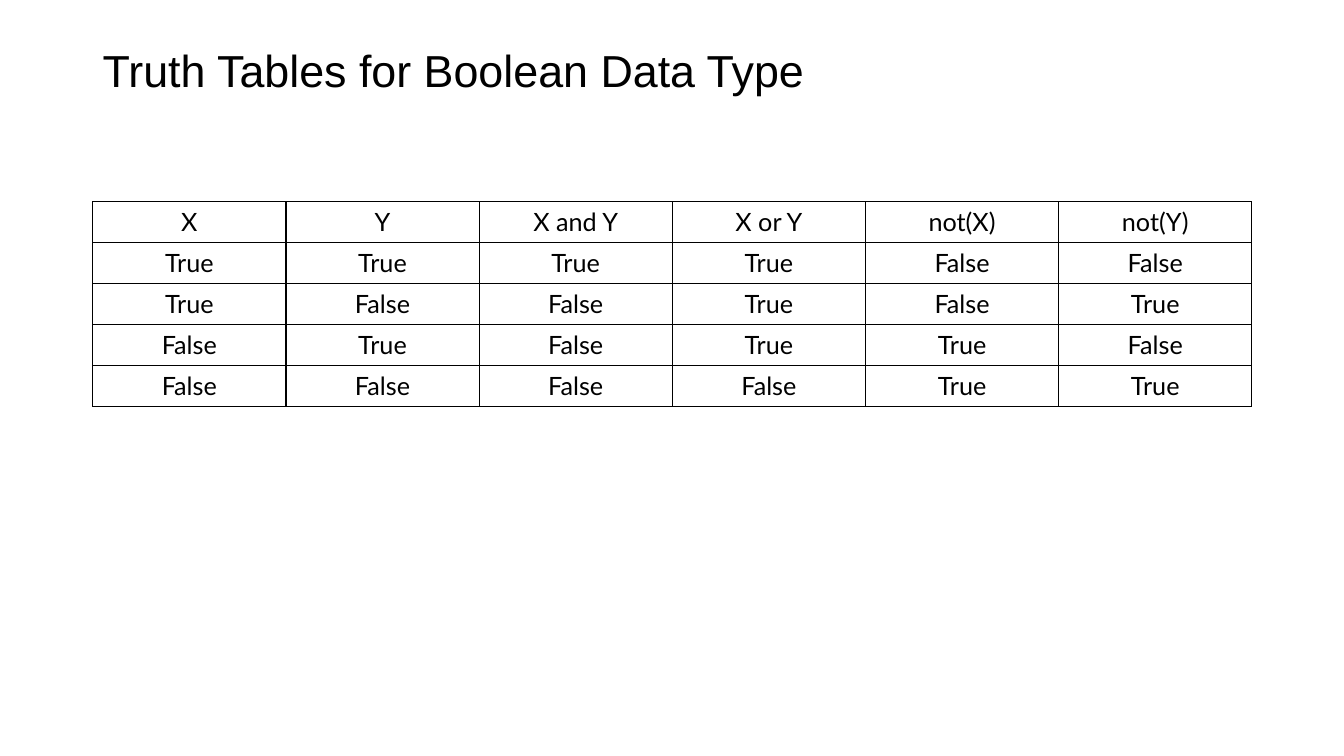
"""Build a slide with the truth tables for the Boolean data type."""
from itertools import product

from lxml import etree
from pptx import Presentation
from pptx.dml.color import RGBColor
from pptx.enum.text import MSO_ANCHOR, PP_ALIGN
from pptx.oxml.ns import qn
from pptx.util import Inches, Pt

BLACK = RGBColor(0, 0, 0)
CENTER = PP_ALIGN.CENTER
MIDDLE = MSO_ANCHOR.MIDDLE
LEFT, WIDTH = Inches(0.92), Inches(11.5)
ROW_H = Inches(0.406)


def add_run(p, text, font, size):
    r = p.add_run()
    r.text = text
    r.font.name = font
    r.font.size = Pt(size)
    r.font.bold = False
    r.font.color.rgb = BLACK


def add_borders(cell):
    tcPr = cell._tc.get_or_add_tcPr()
    for side in ("lnL", "lnR", "lnT", "lnB"):
        ln = etree.SubElement(tcPr, qn(f"a:{side}"), w=str(Pt(1)))
        fill = etree.SubElement(ln, qn("a:solidFill"))
        etree.SubElement(fill, qn("a:srgbClr"), val=str(BLACK))


prs = Presentation()
prs.slide_width, prs.slide_height = Inches(13.333), Inches(7.5)
s = prs.slides.add_slide(prs.slide_layouts[6])

tf = s.shapes.add_textbox(LEFT, Inches(0.4), WIDTH, Inches(0.65)).text_frame
tf.word_wrap = True
tf.vertical_anchor = MIDDLE
p = tf.paragraphs[0]
p.line_spacing = 0.9
add_run(p, "Truth Tables for Boolean Data Type", "Arial", 32)

rows = [("X", "Y", "X and Y", "X or Y", "not(X)", "not(Y)")]
for x, y in product((True, False), repeat=2):
    rows.append((x, y, x and y, x or y, not x, not y))

table = s.shapes.add_table(
    len(rows), len(rows[0]), LEFT, Inches(2), WIDTH, ROW_H * len(rows)
).table
table.first_row = False
table.horz_banding = False
for i, values in enumerate(rows):
    table.rows[i].height = ROW_H
    for j, value in enumerate(values):
        cell = table.cell(i, j)
        add_borders(cell)
        cell.fill.background()
        p = cell.text_frame.paragraphs[0]
        p.alignment = CENTER
        add_run(p, str(value), "Lato", 18)

prs.save("out.pptx")
